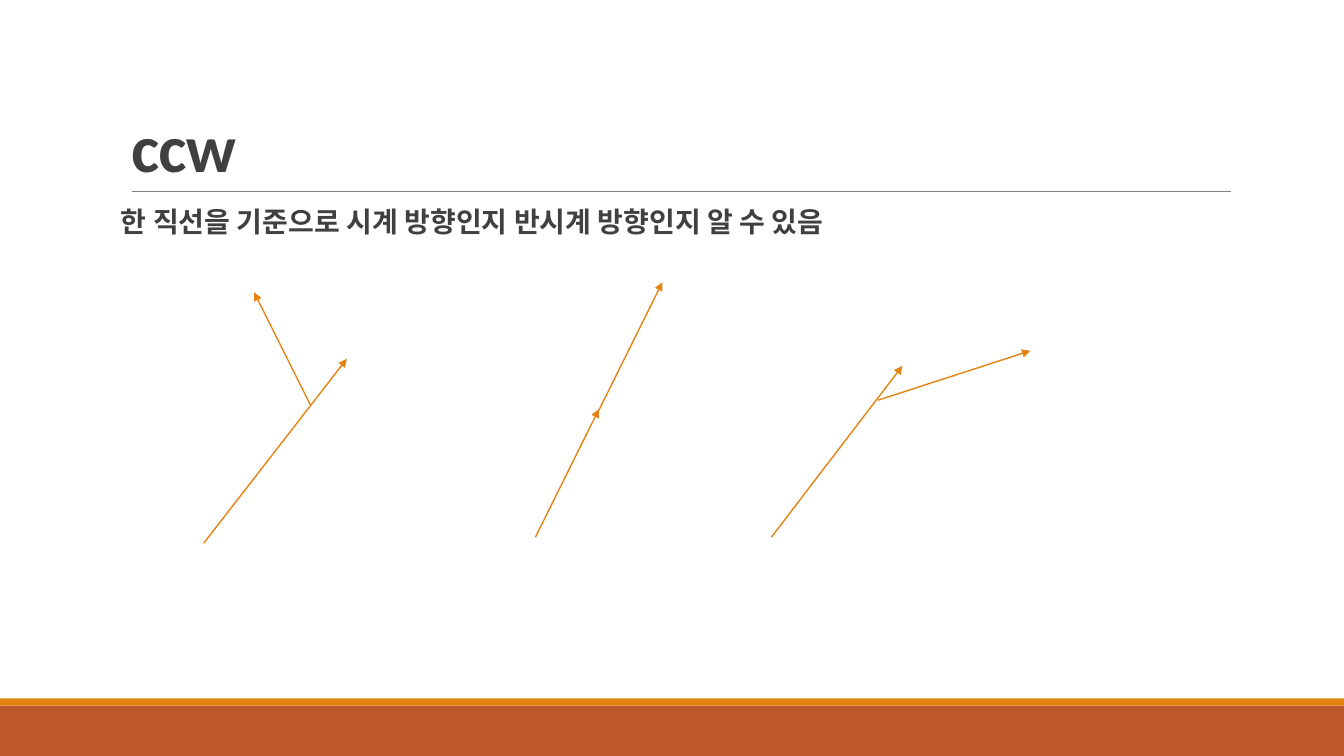
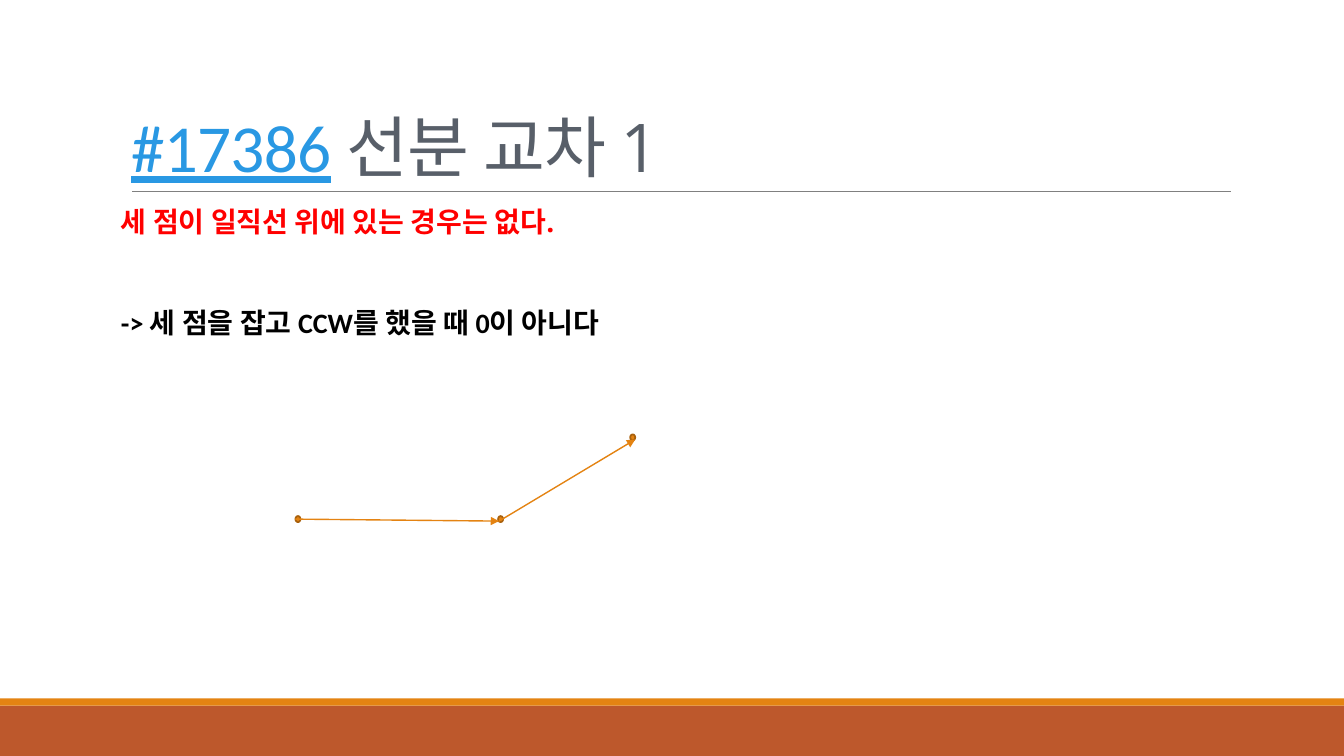
import pptx
import pptx.util
import pptx.dml.color
import pptx.enum.shapes
import pptx.enum.text
import pptx.oxml.ns
import lxml.etree

Inches, Pt = pptx.util.Inches, pptx.util.Pt
SHAPE = pptx.enum.shapes.MSO_SHAPE
ANCHOR = pptx.enum.text.MSO_ANCHOR
LEFT = pptx.enum.text.PP_ALIGN.LEFT

ORANGE, RUST, DOT_EDGE = "E48312", "BD582C", "A9610D"
GRAY, DARK, SLATE = "808080", "404040", "585F69"
BLUE, RED, BLACK = "2998E3", "FF0000", "000000"

WIDTH, HEIGHT = 13.33, 7.5
BANDS = [((0, 7, WIDTH, 0.5), RUST), ((0, 6.93, WIDTH, 0.07), ORANGE)]
RULE = ((1.31, 1.9), (12.21, 1.9))
TITLE_BOX = (1.2, 0.31, 11, 1.59)
BODY_BOX = (1.2, 2.02, 11, 4.4)
DOT_SIZE = (0.05, 0.06)

TITLE_FRAME = {"vertical_anchor": ANCHOR.BOTTOM}
BODY_FRAME = {"vertical_anchor": ANCHOR.TOP, "margin_left": 0, "margin_right": 0}
TITLE_LINE = {"alignment": LEFT, "line_spacing": 0.85}
BODY_LINE = {"alignment": LEFT, "line_spacing": 0.9, "space_after": Pt(2)}
TITLE_FONT = {"size": Pt(48)}
BODY_FONT = {"size": Pt(20), "bold": True}

# Runs: text, colour, font format. Body lines: text, colour, font, space before.
# Arrows: start, end.
SLIDES = [
    {
        "title": [("ccw", DARK, {"name": "Calibri", "bold": True})],
        "body": [("한 직선을 기준으로 시계 방향인지 반시계 방향인지 알 수 있음", DARK, "Calibri", 12)],
        "dots": [],
        "arrows": [
            ((2.02, 5.39), (3.44, 3.56)), ((3.08, 4.02), (2.52, 2.9)),
            ((5.31, 5.33), (5.94, 4.06)), ((5.94, 4.07), (6.57, 2.8)),
            ((7.65, 5.33), (8.95, 3.63)), ((8.71, 3.97), (10.22, 3.48)),
        ],
    },
    {
        "title": [
            ("#17386", BLUE, {"name": "Calibri", "underline": True}),
            (" ", DARK, {"name": "Calibri"}),
            ("선분 교차 1", SLATE, {"name": "Open Sans"}),
        ],
        "body": [
            ("세 점이 일직선 위에 있는 경우는 없다.", RED, "Open Sans", 12),
            ("-> 세 점을 잡고 CCW를 했을 때 0이 아니다", BLACK, "Calibri", 48),
        ],
        "dots": [(2.93, 5.12), (4.94, 5.12), (6.25, 4.31)],
        "arrows": [((2.93, 5.15), (4.95, 5.17)), ((4.95, 5.17), (6.3, 4.36))],
    },
]


def rgb(code):
    """Turn a hex string into a colour."""
    return pptx.dml.color.RGBColor.from_string(code)


def apply(target, values):
    """Set every attribute named in a dict."""
    for name, value in values.items():
        setattr(target, name, value)


def add_child(parent, tag, **attributes):
    """Append a DrawingML element."""
    return lxml.etree.SubElement(parent, pptx.oxml.ns.qn(tag), attributes)


def place(shape, box):
    """Move and size a shape in inches."""
    apply(shape, dict(zip(("left", "top", "width", "height"), map(Inches, box))))


def add_filled(slide, kind, box, color, edge=None):
    """Draw a flat preset shape, outlined only if an edge colour is given."""
    shape = slide.shapes.add_shape(kind, *map(Inches, box))
    shape.shadow.inherit = False
    shape.fill.solid()
    shape.fill.fore_color.rgb = rgb(color)
    if edge:
        shape.line.color.rgb = rgb(edge)
        shape.line.width = Pt(1.25)
    else:
        shape.line.fill.background()


def add_line(slide, start, end, color, weight, arrow=False):
    """Draw a straight line, with an arrowhead at its end if asked."""
    line = slide.shapes.add_connector(
        pptx.enum.shapes.MSO_CONNECTOR.STRAIGHT, *map(Inches, start + end))
    line.line.color.rgb = rgb(color)
    line.line.width = Pt(weight)
    if arrow:
        add_child(line.line._get_or_add_ln(), "a:tailEnd", type="triangle")
    add_child(line.element.spPr, "a:effectLst")


def add_run(paragraph, text, color, font):
    """Add one formatted run and return it."""
    run = paragraph.add_run()
    run.text = text
    apply(run.font, font)
    run.font.color.rgb = rgb(color)
    return run


def open_frame(shape, box, frame_format):
    """Place a placeholder and return its formatted text frame."""
    place(shape, box)
    frame = shape.text_frame
    frame.auto_size = pptx.enum.text.MSO_AUTO_SIZE.NONE
    apply(frame, frame_format)
    return frame


def fill_title(slide, runs):
    """Write the title runs."""
    paragraph = open_frame(slide.shapes.title, TITLE_BOX, TITLE_FRAME).paragraphs[0]
    apply(paragraph, TITLE_LINE)
    for text, color, font in runs:
        run = add_run(paragraph, text, color, {**TITLE_FONT, **font})
        run.font._element.set("spc", "-50")


def fill_body(slide, lines):
    """Write the body lines without bullets."""
    frame = open_frame(slide.placeholders[1], BODY_BOX, BODY_FRAME)
    for index, (text, color, font_name, before) in enumerate(lines):
        paragraph = frame.add_paragraph() if index else frame.paragraphs[0]
        apply(paragraph, {**BODY_LINE, "space_before": Pt(before)})
        properties = paragraph._p.get_or_add_pPr()
        properties.set("marL", "0")
        properties.set("indent", "0")
        add_child(properties, "a:buNone")
        add_run(paragraph, text, color, {**BODY_FONT, "name": font_name})


def add_frame(slide):
    """Draw the bands and the title rule that every slide shares."""
    for box, color in BANDS:
        add_filled(slide, SHAPE.RECTANGLE, box, color)
    add_line(slide, *RULE, GRAY, 0.5)


def build(deck, content):
    """Build one slide from its content."""
    slide = deck.slides.add_slide(deck.slide_layouts[1])
    add_frame(slide)
    fill_title(slide, content["title"])
    fill_body(slide, content["body"])
    for corner in content["dots"]:
        add_filled(slide, SHAPE.OVAL, corner + DOT_SIZE, ORANGE, DOT_EDGE)
    for start, end in content["arrows"]:
        add_line(slide, start, end, ORANGE, 1, arrow=True)


deck = pptx.Presentation()
apply(deck, {"slide_width": Inches(WIDTH), "slide_height": Inches(HEIGHT)})
for content in SLIDES:
    build(deck, content)
deck.save("out.pptx")
